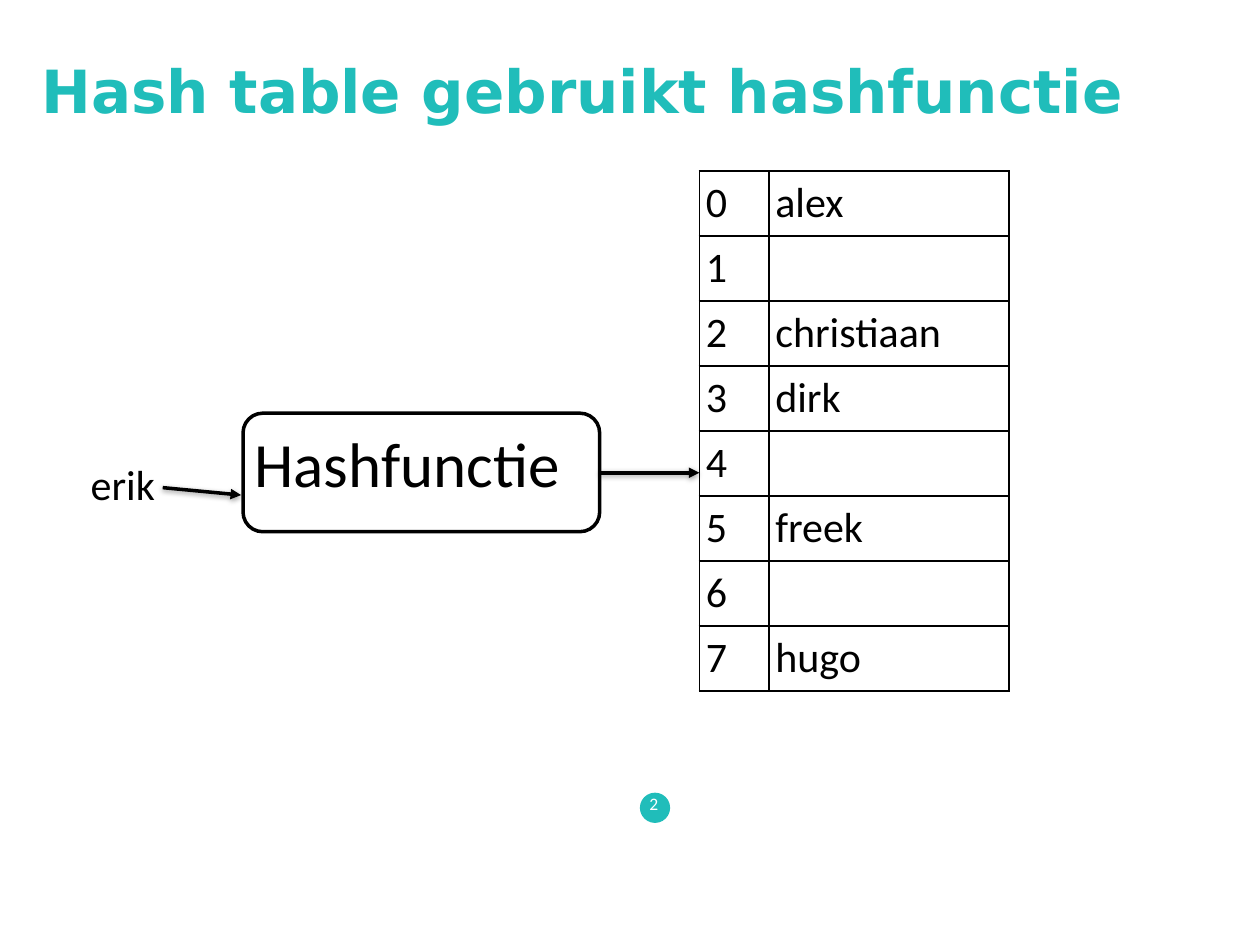
"""Build a slide showing how a hash function picks a slot in a hash table."""
from dataclasses import dataclass

from lxml import etree
from pptx import Presentation
from pptx import util as u
from pptx.dml.color import RGBColor
from pptx.enum import shapes, text
from pptx.oxml import parse_xml
from pptx.oxml.ns import nsdecls, qn


@dataclass(frozen=True)
class Theme:
    accent: str = "20BDBA"
    ink: str = "000000"
    paper: str = "FFFFFF"
    heading_font: str = "DejaVu Sans"
    body_font: str = "Calibri"
    title: int = 34
    label: int = 36
    body: int = 24
    small: int = 10
    stroke: int = 2
    border: int = 1
    inset: float = 0.13


def rgb(value):
    return RGBColor.from_string(value)


def write(tf, content, *, size, color, font, bold=False, align=text.PP_ALIGN.LEFT):
    p = tf.paragraphs[0]
    p.alignment = align
    r = p.add_run()
    r.text = content
    r.font.size = u.Pt(size)
    r.font.name = font
    r.font.bold = bold
    r.font.color.rgb = rgb(color)


class SlideBuilder:
    def __init__(self, s, theme):
        self.s = s
        self.theme = theme

    def shape(self, kind, x, y, w, h, fill, line=None):
        sp = self.s.shapes.add_shape(kind, u.Cm(x), u.Cm(y), u.Cm(w), u.Cm(h))
        sp.shadow.inherit = False
        sp.fill.solid()
        sp.fill.fore_color.rgb = rgb(fill)
        if line:
            sp.line.color.rgb = rgb(line)
            sp.line.width = u.Pt(self.theme.stroke)
        else:
            sp.line.fill.background()
        return sp

    def label(self, content, x, y, w, h, wrap=True, grow=True,
              anchor=text.MSO_ANCHOR.TOP, **fmt):
        tf = self.s.shapes.add_textbox(u.Cm(x), u.Cm(y), u.Cm(w), u.Cm(h)).text_frame
        tf.word_wrap = wrap
        tf.auto_size = (text.MSO_AUTO_SIZE.SHAPE_TO_FIT_TEXT if grow
                        else text.MSO_AUTO_SIZE.NONE)
        tf.vertical_anchor = anchor
        tf.margin_left = tf.margin_right = u.Cm(self.theme.inset)
        tf.margin_top = tf.margin_bottom = u.Cm(self.theme.inset)
        style = dict(size=self.theme.body, color=self.theme.ink, font=self.theme.body_font)
        write(tf, content, **(style | fmt))

    def table(self, names, x, y, widths, row_height):
        frame = self.s.shapes.add_table(len(names), len(widths), u.Cm(x), u.Cm(y),
                                        u.Cm(sum(widths)), u.Cm(row_height * len(names)))
        table = frame.table
        table.first_row = table.horz_banding = False
        for column, width in zip(table.columns, widths):
            column.width = u.Cm(width)
        for i, name in enumerate(names):
            table.rows[i].height = u.Cm(row_height)
            for j, content in enumerate((str(i), name)):
                self.cell(table.cell(i, j), content)

    def cell(self, cell, content):
        t = self.theme
        cell.margin_left = cell.margin_right = u.Cm(t.inset)
        cell.margin_top = cell.margin_bottom = u.Cm(t.inset)
        if content:
            write(cell.text_frame, content, size=t.body, color=t.ink, font=t.body_font)
        cell.fill.background()
        props = cell._tc.get_or_add_tcPr()
        for i, side in enumerate(("lnL", "lnR", "lnT", "lnB")):
            props.insert(i, parse_xml(
                f'<a:{side} {nsdecls("a")} w="{u.Pt(t.border)}"><a:solidFill>'
                f'<a:srgbClr val="{t.ink}"/></a:solidFill></a:{side}>'))

    def arrow(self, x1, y1, x2, y2):
        t = self.theme
        c = self.s.shapes.add_connector(shapes.MSO_CONNECTOR.STRAIGHT,
                                        u.Cm(x1), u.Cm(y1), u.Cm(x2), u.Cm(y2))
        c.line.color.rgb = rgb(t.ink)
        c.line.width = u.Pt(t.stroke)
        etree.SubElement(c.line._get_or_add_ln(), qn("a:tailEnd"), type="triangle")
        c._element.spPr.append(parse_xml(
            f'<a:effectLst {nsdecls("a")}><a:outerShdw blurRad="{u.Pt(3)}" '
            f'dist="{u.Pt(1)}" dir="5400000" rotWithShape="0"><a:srgbClr val="{t.ink}">'
            f'<a:alpha val="38000"/></a:srgbClr></a:outerShdw></a:effectLst>'))


def main():
    t = Theme()
    prs = Presentation()
    prs.slide_width, prs.slide_height = u.Cm(25.4), u.Cm(19.05)
    b = SlideBuilder(prs.slides.add_slide(prs.slide_layouts[6]), t)
    middle = text.MSO_ANCHOR.MIDDLE

    b.shape(shapes.MSO_SHAPE.OVAL, 12.9, 15.98, 0.61, 0.61, t.accent)
    b.label("2", 12.95, 15.85, 0.46, 0.71, wrap=False, anchor=middle,
            size=t.small, color=t.paper, align=text.PP_ALIGN.CENTER)
    b.label("Hash table gebruikt hashfunctie", 0.71, 0.61, 22.86, 2.39, grow=False,
            anchor=middle, size=t.title, color=t.accent, font=t.heading_font, bold=True)

    names = ["alex", "", "christiaan", "dirk", "", "freek", "", "hugo"]
    b.table(names, 14.1, 3.45, (1.4, 4.84), 1.31)

    b.shape(shapes.MSO_SHAPE.ROUNDED_RECTANGLE, 4.9, 8.33, 7.19, 2.39, t.paper, t.ink)
    b.label("Hashfunctie", 5, 8.43, 6.96, 1.8, size=t.label)
    b.label("erik", 1.7, 9.12, 1.57, 1.27, wrap=False)
    b.arrow(3.28, 9.83, 4.86, 9.98)
    b.arrow(12.09, 9.53, 14.1, 9.53)

    prs.save("out.pptx")


if __name__ == "__main__":
    main()
